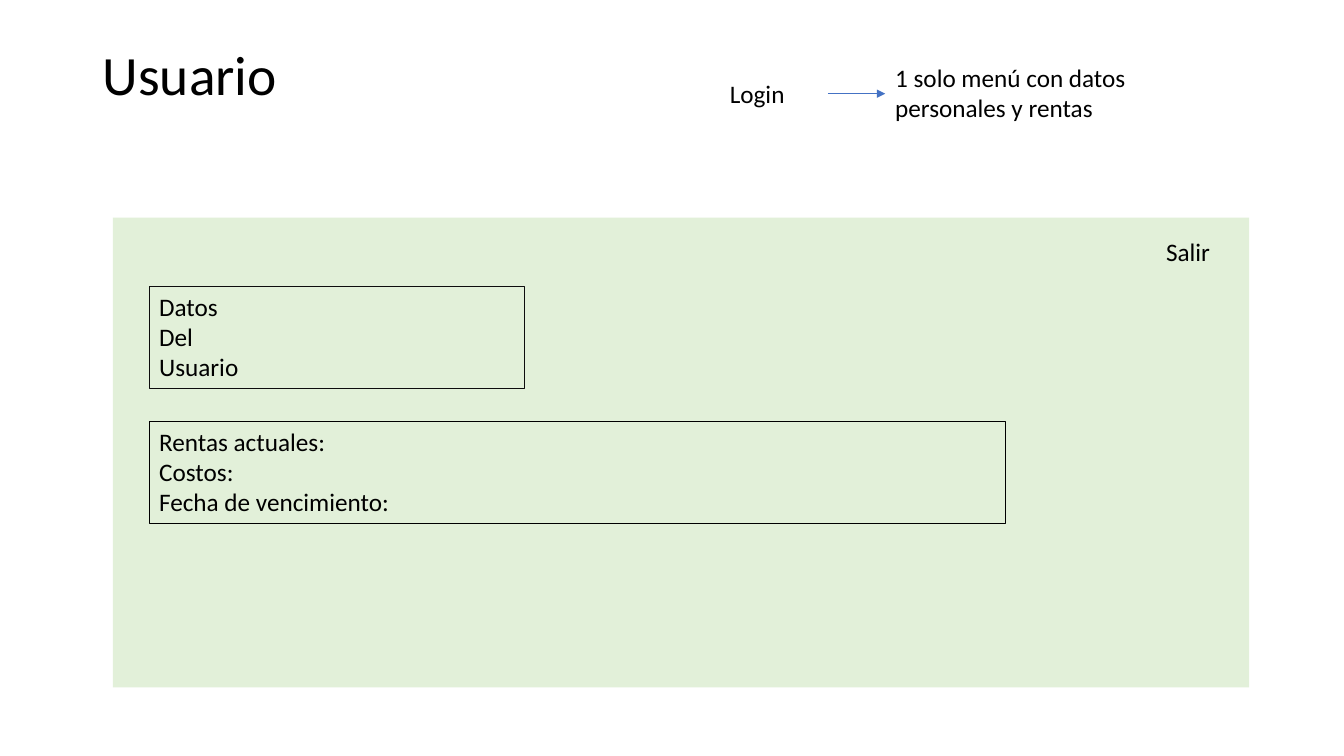
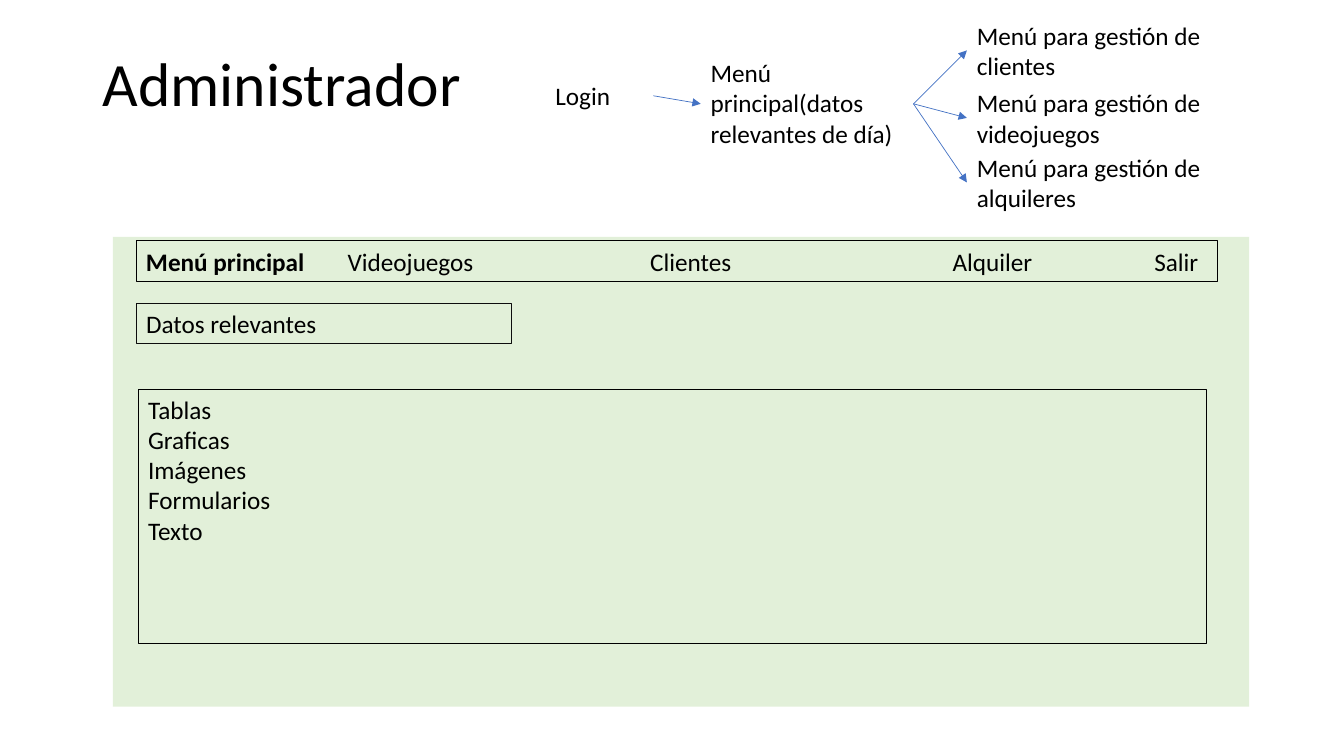
"""Build the user and administrator screen sketches of a rental system."""
from lxml import etree
from pptx import Presentation
from pptx.dml.color import RGBColor
from pptx.enum.shapes import MSO_CONNECTOR as CONNECTOR, MSO_SHAPE as SHAPE
from pptx.enum.text import MSO_ANCHOR as ANCHOR, PP_ALIGN as ALIGN
from pptx.oxml.ns import qn
from pptx.util import Inches, Pt

BLACK = RGBColor(0x00, 0x00, 0x00)
DARK = RGBColor(0x0D, 0x0D, 0x0D)
BLUE = RGBColor(0x44, 0x72, 0xC4)
GREEN = RGBColor(0xE2, 0xF0, 0xD9)
FONT = "Calibri"
MENU_TABS = (2, 5, 8, 10)


def write_text(slide, text, box, size=18, border=None, lead="", tabs=(),
               align=ALIGN.LEFT, anchor=ANCHOR.TOP, spacing=None):
    """Place text in a box, one paragraph a line, after an optional bold lead."""
    shape = slide.shapes.add_textbox(*[Inches(length) for length in box])
    if border is not None:
        shape.line.color.rgb = border
        shape.line.width = Pt(0.75)
    frame = shape.text_frame
    frame.word_wrap = True
    frame.vertical_anchor = anchor
    for index, line in enumerate(text.split("\n")):
        paragraph = frame.paragraphs[0] if index == 0 else frame.add_paragraph()
        paragraph.alignment = align
        if spacing:
            paragraph.line_spacing = spacing
        if tabs:
            tab_list = etree.SubElement(paragraph._p.get_or_add_pPr(), qn("a:tabLst"))
            for position in tabs:
                etree.SubElement(tab_list, qn("a:tab"), pos=str(Inches(position)), algn="l")
        for content, bold in ((lead, True), (line, False)):
            if content:
                run = paragraph.add_run()
                run.text = content
                run.font.name = FONT
                run.font.size = Pt(size)
                run.font.bold = bold
                run.font.color.rgb = BLACK


def draw_arrow(slide, start, end):
    """Draw a thin blue arrow from start to end."""
    arrow = slide.shapes.add_connector(
        CONNECTOR.STRAIGHT, *[Inches(length) for length in (*start, *end)])
    arrow.line.color.rgb = BLUE
    arrow.line.width = Pt(0.5)
    etree.SubElement(arrow.line._get_or_add_ln(), qn("a:tailEnd"), type="triangle")
    etree.SubElement(arrow._element.spPr, qn("a:effectLst"))


presentation = Presentation()
presentation.slide_width = Inches(13.33)
presentation.slide_height = Inches(7.5)

slides = []
for title, title_box, title_size, panel_top, login_box in (
    ("Usuario", (0.92, 0.43, 2.55, 0.67), 39.6, 2.16, (7.14, 0.73, 1.07, 0.4)),
    ("Administrador", (0.92, 0.43, 4.11, 0.85), 44, 2.35, (5.41, 0.75, 1.07, 0.4)),
):
    slide = presentation.slides.add_slide(presentation.slide_layouts[6])
    panel = slide.shapes.add_shape(
        SHAPE.RECTANGLE, Inches(1.12), Inches(panel_top), Inches(11.27), Inches(4.66))
    panel.shadow.inherit = False
    panel.fill.solid()
    panel.fill.fore_color.rgb = GREEN
    panel.line.fill.background()
    write_text(slide, title, title_box, size=title_size, anchor=ANCHOR.MIDDLE, spacing=0.9)
    write_text(slide, "Login", login_box)
    slides.append(slide)
user_slide, admin_slide = slides

write_text(user_slide, "1 solo menú con datos personales y rentas", (8.78, 0.57, 2.79, 0.71))
draw_arrow(user_slide, (8.21, 0.93), (8.78, 0.93))
write_text(user_slide, "Salir", (11.09, 2.3, 1.01, 0.4), align=ALIGN.RIGHT)
write_text(user_slide, "Datos\nDel\nUsuario", (1.48, 2.84, 3.72, 1.01), border=DARK)
write_text(user_slide, "Rentas actuales:\nCostos:\nFecha de vencimiento:",
           (1.48, 4.18, 8.49, 1.01), border=BLACK)

write_text(admin_slide, "Menú principal(datos relevantes de día)", (6.95, 0.52, 2.11, 1.01))
draw_arrow(admin_slide, (6.48, 0.95), (6.95, 1.03))
for subject, top in (("clientes", 0.15), ("videojuegos", 0.82), ("alquileres", 1.46)):
    write_text(admin_slide, f"Menú para gestión de {subject}", (9.59, top, 2.79, 0.71))
    draw_arrow(admin_slide, (9.06, 1.03), (9.59, top + 0.35))
write_text(admin_slide, "\tVideojuegos\tClientes\tAlquiler\tSalir",
           (1.35, 2.39, 10.73, 0.4), border=BLACK, lead="Menú principal", tabs=MENU_TABS)
write_text(admin_slide, "Datos relevantes", (1.35, 3.01, 3.72, 0.4), border=DARK)
write_text(admin_slide, "Tablas\nGraficas\nImágenes\nFormularios\nTexto",
           (1.37, 3.86, 10.6, 2.52), border=BLACK)

presentation.save("out.pptx")
